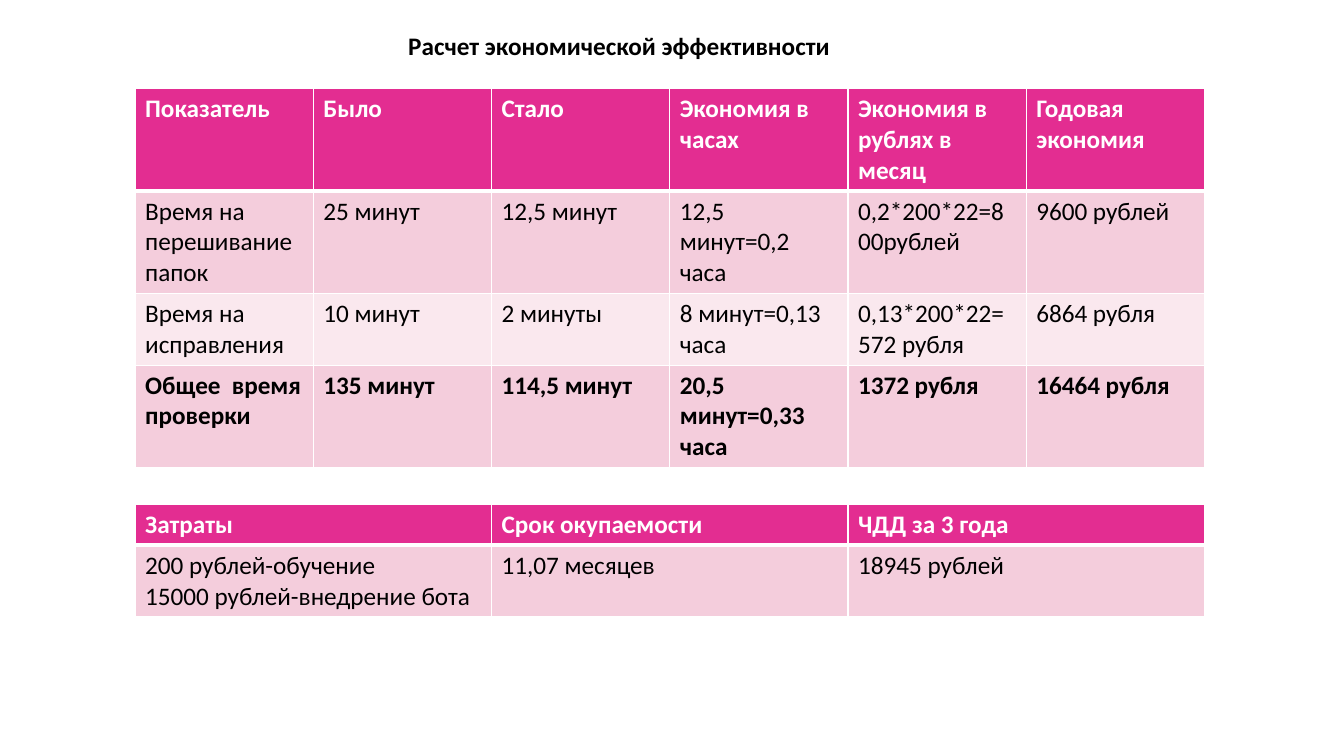
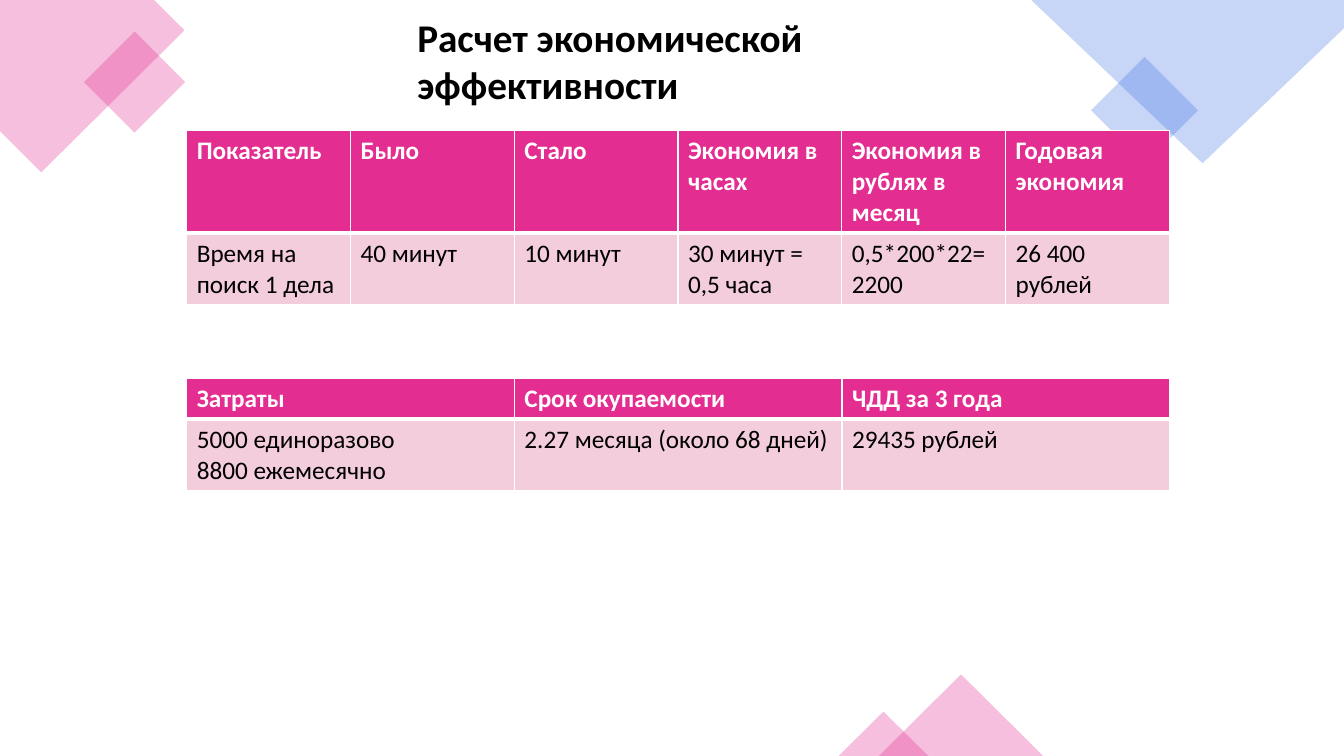
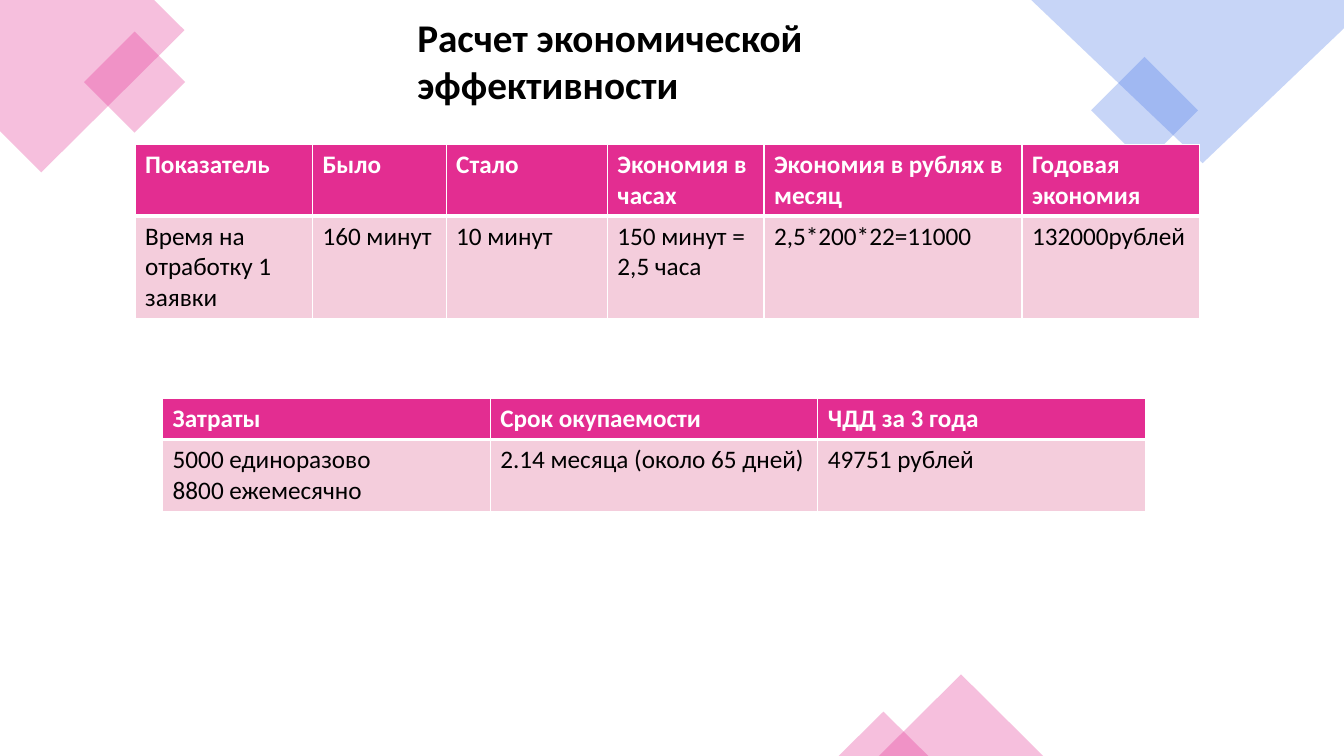
from dataclasses import dataclass

from lxml import etree
from pptx import Presentation
from pptx.dml.color import RGBColor
from pptx.enum.shapes import MSO_SHAPE
from pptx.enum.text import MSO_ANCHOR, MSO_AUTO_SIZE, PP_ALIGN
from pptx.oxml.ns import qn
from pptx.util import Pt

RECTANGLE = MSO_SHAPE.RECTANGLE
TRIANGLE = MSO_SHAPE.ISOSCELES_TRIANGLE
TOP = MSO_ANCHOR.TOP
LEFT = PP_ALIGN.LEFT
NO_AUTOFIT = MSO_AUTO_SIZE.NONE
TITLE_ONLY = 5


@dataclass(frozen=True)
class Theme:
    font: str = "Calibri"
    pink: str = "E32D91"
    blue: str = "4775E7"
    white: str = "FFFFFF"
    black: str = "000000"
    bands: tuple = ("F4CDDC", "FAE8EE")
    decor_opacity: int = 30
    small_title_size: float = 18
    title_size: float = 28
    table_size: float = 18
    line_height: float = 22
    cell_padding: float = 7.2
    thin_border: float = 1
    thick_border: float = 3


class Deck:
    def __init__(self, theme):
        self.theme = theme
        self.presentation = Presentation()
        self.presentation.slide_width = Pt(960)
        self.presentation.slide_height = Pt(540)
        self.slide = None

    def add_slide(self):
        layout = self.presentation.slide_layouts[TITLE_ONLY]
        self.slide = self.presentation.slides.add_slide(layout)

    def add_text(self, paragraph, text, size, color, bold):
        run = paragraph.add_run()
        run.text = text
        run.font.name = self.theme.font
        run.font.size = Pt(size)
        run.font.bold = bold
        run.font.color.rgb = RGBColor.from_string(color)

    def title(self, text, left, top, width, height, size):
        shape = self.slide.shapes.title
        shape.left, shape.top = Pt(left), Pt(top)
        shape.width, shape.height = Pt(width), Pt(height)
        frame = shape.text_frame
        frame.word_wrap = True
        frame.auto_size = NO_AUTOFIT
        frame.vertical_anchor = TOP
        paragraph = frame.paragraphs[0]
        paragraph.alignment = LEFT
        self.add_text(paragraph, text, size, self.theme.black, True)

    def tint(self, shape, color):
        shape.shadow.inherit = False
        shape.line.fill.background()
        shape.fill.solid()
        shape.fill.fore_color.rgb = RGBColor.from_string(color)
        fill = shape.element.spPr.find(qn("a:solidFill"))
        alpha = etree.SubElement(fill[0], qn("a:alpha"))
        alpha.set("val", str(self.theme.decor_opacity * 1000))

    def polygon(self, points, color):
        corners = [(Pt(x), Pt(y)) for x, y in points]
        builder = self.slide.shapes.build_freeform(*corners[0], scale=1.0)
        builder.add_line_segments(corners[1:], close=True)
        self.tint(builder.convert_to_shape(), color)

    def preset(self, kind, left, top, width, height, color, rotation=0):
        shape = self.slide.shapes.add_shape(
            kind, Pt(left), Pt(top), Pt(width), Pt(height))
        shape.rotation = rotation
        self.tint(shape, color)

    def decor(self):
        pink, blue = self.theme.pink, self.theme.blue
        self.polygon([(110.2, 0), (0, 0), (0, 93.6), (29.5, 123.1),
                      (131.8, 21.6)], pink)
        self.preset(RECTANGLE, 70.6, 33.1, 51.1, 51.1, pink, 315)
        self.preset(RECTANGLE, 790.6, 51.8, 54, 54, blue, 315)
        self.polygon([(960, 0), (736.6, 0), (859, 116.6), (960, 20.2)], blue)
        self.preset(TRIANGLE, 627.8, 481.7, 117.4, 58.3, pink)
        self.preset(TRIANGLE, 599, 508.3, 64.1, 31.7, pink)

    def borders(self, cell, row):
        thin, thick = self.theme.thin_border, self.theme.thick_border
        widths = {"a:lnL": thin, "a:lnR": thin,
                  "a:lnT": thick if row == 1 else thin,
                  "a:lnB": thick if row == 0 else thin}
        properties = cell._tc.get_or_add_tcPr()
        for position, (tag, width) in enumerate(widths.items()):
            line = etree.Element(qn(tag), w=str(Pt(width)))
            fill = etree.SubElement(line, qn("a:solidFill"))
            etree.SubElement(fill, qn("a:srgbClr"), val=self.theme.white)
            properties.insert(position, line)

    def cell(self, cell, text, row, bold):
        theme = self.theme
        header = row == 0
        background = theme.pink if header else theme.bands[(row - 1) % 2]
        cell.fill.solid()
        cell.fill.fore_color.rgb = RGBColor.from_string(background)
        self.borders(cell, row)
        frame = cell.text_frame
        for index, line in enumerate(text.split("\n")):
            paragraph = frame.add_paragraph() if index else frame.paragraphs[0]
            self.add_text(paragraph, line, theme.table_size,
                          theme.white if header else theme.black, bold)

    def table(self, left, top, widths, line_counts, rows, total=False):
        theme = self.theme
        heights = [count * theme.line_height + theme.cell_padding
                   for count in line_counts]
        table = self.slide.shapes.add_table(
            len(rows), len(widths), Pt(left), Pt(top),
            Pt(sum(widths)), Pt(sum(heights))).table
        table.horz_banding = False
        for column, width in zip(table.columns, widths):
            column.width = Pt(width)
        for row, (values, height) in enumerate(zip(rows, heights)):
            table.rows[row].height = Pt(height)
            bold = row == 0 or (total and row == len(rows) - 1)
            for column, text in enumerate(values):
                self.cell(table.cell(row, column), text, row, bold)


TITLE = "Расчет экономической эффективности"
SAVINGS_HEADER = ["Показатель", "Было", "Стало", "Экономия в часах",
                  "Экономия в рублях в месяц", "Годовая экономия"]
COSTS_HEADER = ["Затраты", "Срок окупаемости", "ЧДД за 3 года"]


def folders_slide(deck):
    deck.add_slide()
    deck.title(TITLE, 284.4, 18, 431.3, 28.8, deck.theme.small_title_size)
    deck.table(96.5, 63.2, [127.32] * 6, [3, 3, 2, 3], [
        SAVINGS_HEADER,
        ["Время на перешивание папок", "25 минут", "12,5 минут",
         "12,5 минут=0,2 часа", "0,2*200*22=800рублей", "9600 рублей"],
        ["Время на исправления", "10 минут", "2 минуты",
         "8 минут=0,13 часа", "0,13*200*22=572 рубля", "6864 рубля"],
        ["Общее  время проверки", "135 минут", "114,5 минут",
         "20,5 минут=0,33 часа", "1372 рубля", "16464 рубля"],
    ], total=True)
    deck.table(96.5, 360.3, [254.64] * 3, [1, 2], [
        COSTS_HEADER,
        ["200 рублей-обучение\n15000 рублей-внедрение бота",
         "11,07 месяцев", "18945 рублей"],
    ])


def decorated_slide(deck, savings, costs):
    deck.add_slide()
    deck.decor()
    deck.title(TITLE, 290.9, 5.8, 357.8, 108.7, deck.theme.title_size)
    left, top, widths, line_counts, values = savings
    deck.table(left, top, widths, line_counts, [SAVINGS_HEADER, values])
    left, top, values = costs
    deck.table(left, top, [234] * 3, [1, 2], [
        COSTS_HEADER, ["5000 единоразово\n8800 ежемесячно", *values]])


def main():
    deck = Deck(Theme())
    folders_slide(deck)
    decorated_slide(
        deck,
        (133.4, 93.4, [117] * 6, [3, 2],
         ["Время на поиск 1 дела", "40 минут", "10 минут",
          "30 минут = 0,5 часа", "0,5*200*22=2200", "26 400 рублей"]),
        (133.4, 270.3, ["2.27 месяца (около 68 дней)", "29435 рублей"]))
    decorated_slide(
        deck,
        (96.5, 103.2, [126.7, 95.5, 115.2, 111.9, 184.3, 126.7], [2, 3],
         ["Время на отработку 1 заявки", "160 минут", "10 минут",
          "150 минут = 2,5 часа", "2,5*200*22=11000", "132000рублей"]),
        (116.2, 284.7, ["2.14 месяца (около 65 дней)", "49751 рублей"]))
    deck.presentation.save("out.pptx")


if __name__ == "__main__":
    main()
